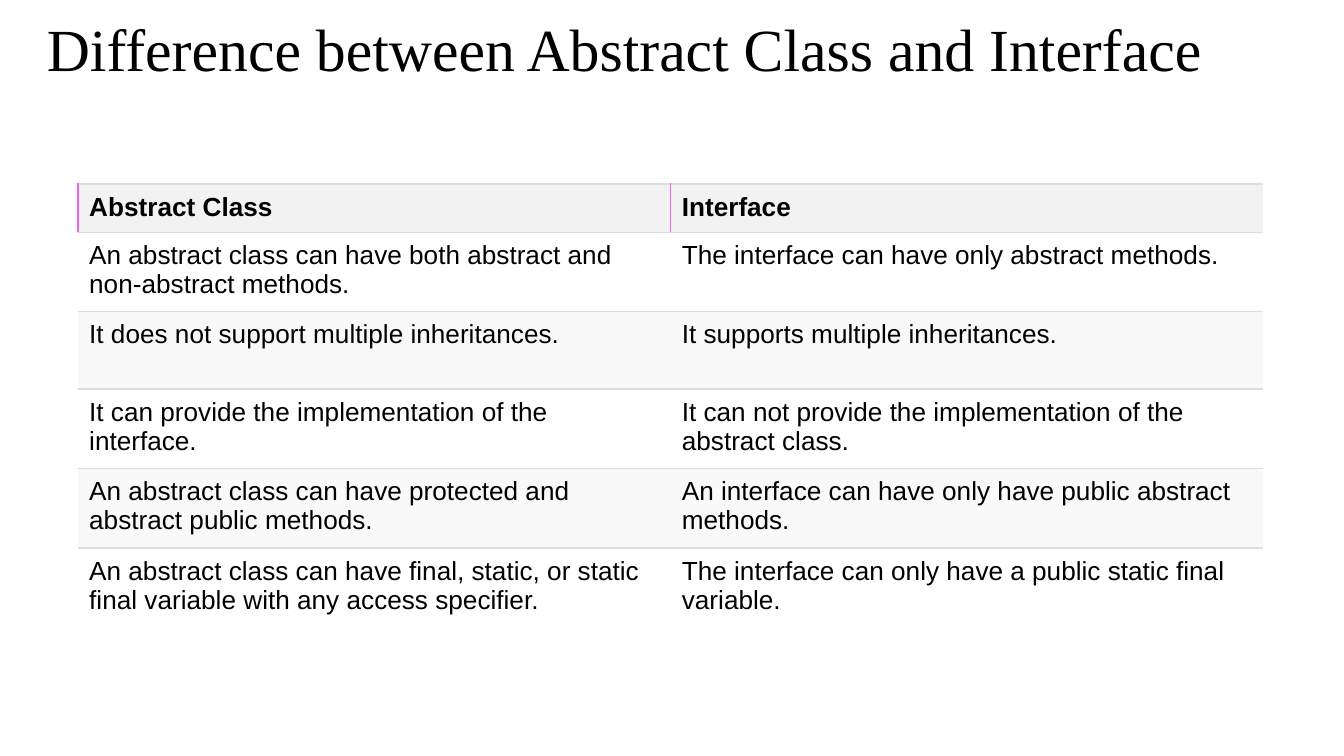
from lxml.etree import SubElement
from pptx import Presentation
from pptx.dml.color import RGBColor
from pptx.enum.text import MSO_ANCHOR
from pptx.oxml.ns import qn
from pptx.util import Pt

BLACK = RGBColor(0x00, 0x00, 0x00)
WHITE = RGBColor(0xFF, 0xFF, 0xFF)
HEADER_GREY = RGBColor(0xF2, 0xF2, 0xF2)
BAND_GREY = RGBColor(0xF9, 0xF9, 0xF9)
RULE_GREY = RGBColor(0xDD, 0xDD, 0xDD)
PINK = RGBColor(0xF0, 0x63, 0xEE)

TITLE_FONT = {"name": "Times New Roman", "size": Pt(32)}
CELL_FONT = {"name": "Arial", "size": Pt(14)}
TITLE_FRAME = {
    "word_wrap": True, "vertical_anchor": MSO_ANCHOR.MIDDLE,
    "margin_left": Pt(7.2), "margin_right": Pt(7.2),
    "margin_top": Pt(3.6), "margin_bottom": Pt(3.6),
}
CELL_FORMAT = {
    "vertical_anchor": MSO_ANCHOR.TOP,
    "margin_left": Pt(6), "margin_right": Pt(6),
    "margin_top": Pt(4.5), "margin_bottom": Pt(4.5),
}
ROW_HEIGHTS = [25.2, 41.4, 41.4, 41.4, 41.4, 57.6]
COMPARISON = [
    ("Abstract Class", "Interface"),
    ("An abstract class can have both abstract and non-abstract methods.",
     "The interface can have only abstract methods."),
    ("It does not support multiple inheritances.",
     "It supports multiple inheritances."),
    ("It can provide the implementation of the interface.",
     "It can not provide the implementation of the abstract class."),
    ("An abstract class can have protected and abstract public methods.",
     "An interface can have only have public abstract methods."),
    ("An abstract class can have final, static, or static final variable with any access specifier.",
     "The interface can only have a public static final variable."),
]


def apply_format(target, values):
    for name, value in values.items():
        setattr(target, name, value)


def write_text(para, text, font, bold=False):
    span = para.add_run()
    span.text = text
    apply_format(span.font, {**font, "bold": bold})
    span.font.color.rgb = BLACK


def set_borders(cell, colors):
    properties = cell._tc.get_or_add_tcPr()
    for side in ("L", "R", "T", "B"):
        color = colors.get(side)
        line = SubElement(properties, qn(f"a:ln{side}"), w=str(Pt(0.75)))
        if color is None:
            SubElement(line, qn("a:noFill"))
        else:
            fill = SubElement(line, qn("a:solidFill"))
            SubElement(fill, qn("a:srgbClr"), val=str(color))


def add_title(page, text, left, top, width, height):
    box = page.shapes.add_textbox(Pt(left), Pt(top), Pt(width), Pt(height))
    apply_format(box.text_frame, TITLE_FRAME)
    para = box.text_frame.paragraphs[0]
    para.line_spacing = 1.04
    write_text(para, text, TITLE_FONT)


def border_colors(row, column, last_row):
    colors = {"T": RULE_GREY}
    if row < last_row:
        colors["B"] = RULE_GREY
    if row == 0:
        colors["L"] = PINK
        if column == 0:
            colors["R"] = PINK
    return colors


def row_fill(row):
    if row == 0:
        return HEADER_GREY
    return WHITE if row % 2 else BAND_GREY


def add_comparison(page, rows, left, top, width, heights):
    columns = len(rows[0])
    frame = page.shapes.add_table(
        len(rows), columns, Pt(left), Pt(top), Pt(width), Pt(sum(heights)))
    table = frame.table
    for column in table.columns:
        column.width = Pt(width / columns)
    for row, (texts, height) in enumerate(zip(rows, heights)):
        table.rows[row].height = Pt(height)
        for column, text in enumerate(texts):
            cell = table.cell(row, column)
            apply_format(cell, CELL_FORMAT)
            set_borders(cell, border_colors(row, column, len(rows) - 1))
            cell.fill.solid()
            cell.fill.fore_color.rgb = row_fill(row)
            write_text(cell.text_frame.paragraphs[0], text, CELL_FONT, bold=row == 0)


def main():
    deck = Presentation()
    apply_format(deck, {"slide_width": Pt(720), "slide_height": Pt(405)})
    page = deck.slides.add_slide(deck.slide_layouts[6])
    add_title(page, "Difference between Abstract Class and Interface", 18, 0, 683.3, 49)
    add_comparison(page, COMPARISON, 41.8, 98.6, 635, ROW_HEIGHTS)
    deck.save("out.pptx")


if __name__ == "__main__":
    main()
